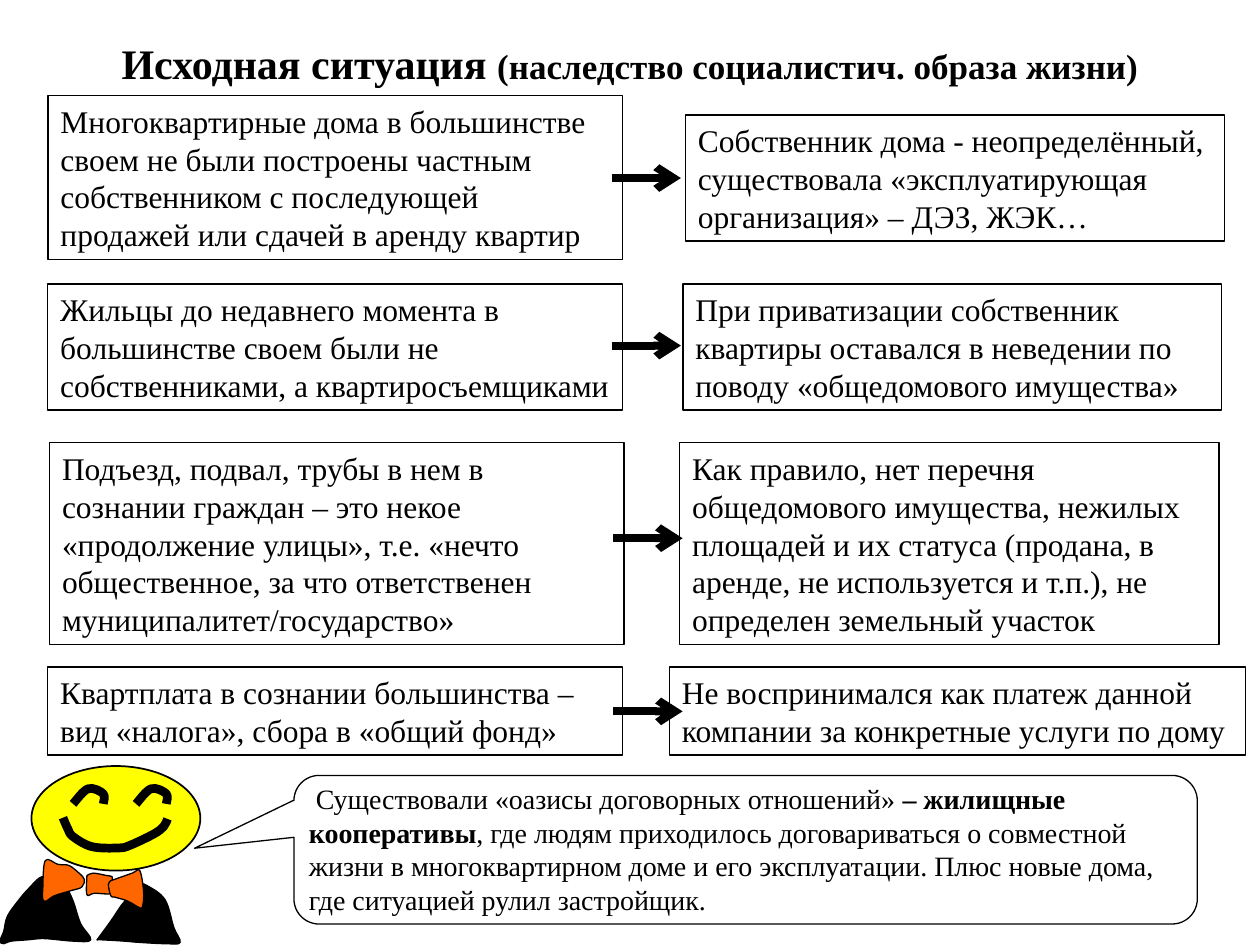
from dataclasses import dataclass

import lxml.etree
import pptx
import pptx.dml.color
import pptx.enum.shapes
import pptx.enum.text
import pptx.oxml.ns
import pptx.util

COLS, ROWS = 100, 75  # grid cells across and down the slide
BLACK, YELLOW, ORANGE = "000000", "FFFF00", "FF6600"
FONT = "Times New Roman"
SHAPE = pptx.enum.shapes.MSO_SHAPE
ALIGN = pptx.enum.text.PP_ALIGN
ANCHOR = pptx.enum.text.MSO_ANCHOR
FIT = pptx.enum.text.MSO_AUTO_SIZE
qn = pptx.oxml.ns.qn

prs = pptx.Presentation()
prs.slide_width = pptx.util.Inches(10)
prs.slide_height = pptx.util.Inches(7.5)
s = prs.slides.add_slide(prs.slide_layouts[6])


@dataclass
class Run:
    text: str
    size: float = 18
    bold: bool = False


@dataclass
class Box:
    left: float
    top: float
    width: float
    lines: int
    text: str


@dataclass
class Row:
    cause: Box
    effect: Box
    arrow_left: float
    arrow_top: float


@dataclass
class Outline:
    points: list[tuple[float, float]]
    fill: str | None = None
    line_width: float = 0.75


def x(col: float) -> int:
    return round(prs.slide_width * col / COLS)


def y(row: float) -> int:
    return round(prs.slide_height * row / ROWS)


def rgb(color: str) -> pptx.dml.color.RGBColor:
    return pptx.dml.color.RGBColor.from_string(color)


def style(sp, fill: str | None, width: float) -> None:
    sp.shadow.inherit = False
    if fill:
        sp.fill.solid()
        sp.fill.fore_color.rgb = rgb(fill)
    else:
        sp.fill.background()
    sp.line.color.rgb = rgb(BLACK)
    sp.line.width = pptx.util.Pt(width)


def write(sp, runs: list[Run], align=ALIGN.LEFT, anchor=ANCHOR.TOP, fit=FIT.SHAPE_TO_FIT_TEXT):
    tf = sp.text_frame
    tf.word_wrap = True
    tf.auto_size = fit
    tf.vertical_anchor = anchor
    p = tf.paragraphs[0]
    p.alignment = align
    for run in runs:
        r = p.add_run()
        r.text = run.text
        r.font.name = FONT
        r.font.size = pptx.util.Pt(run.size)
        r.font.bold = run.bold
        r.font.color.rgb = rgb(BLACK)
    return p


def draw_shape(kind, left: float, top: float, width: float, height: float,
               fill: str | None = None, line_width: float = 0.75):
    sp = s.shapes.add_shape(kind, x(left), y(top), x(width), y(height))
    style(sp, fill, line_width)
    return sp


def draw_box(box: Box) -> None:
    """Each text line takes three grid rows, the margins take one."""
    sp = draw_shape(SHAPE.RECTANGLE, box.left, box.top, box.width, 3 * box.lines + 1)
    write(sp, [Run(box.text)])


def draw_arrow(left: float, top: float, length: float = 5.5) -> None:
    cn = s.shapes.add_connector(pptx.enum.shapes.MSO_CONNECTOR.STRAIGHT,
                                x(left), y(top), x(left + length), y(top))
    cn.line.color.rgb = rgb(BLACK)
    cn.line.width = pptx.util.Pt(4.5)
    lxml.etree.SubElement(cn.line._get_or_add_ln(), qn("a:tailEnd"), type="arrow")
    lxml.etree.SubElement(cn._element.spPr, qn("a:effectLst"))


def round_corners(sp) -> None:
    """Turn each straight segment into a smooth Bezier curve through the same points."""
    nodes = list(sp._element.iter(qn("a:pt")))
    points = [(int(node.get("x")), int(node.get("y"))) for node in nodes]
    padded = [points[0], *points, points[-1]]
    for node, a, b, c, d in zip(nodes[1:], padded, padded[1:], padded[2:], padded[3:]):
        line = node.getparent()
        curve = lxml.etree.Element(qn("a:cubicBezTo"))
        line.getparent().replace(line, curve)
        handles = [[b[k] + (c[k] - a[k]) / 6 for k in (0, 1)],
                   [c[k] - (d[k] - b[k]) / 6 for k in (0, 1)], c]
        for px, py in handles:
            lxml.etree.SubElement(curve, qn("a:pt"), x=str(round(px)), y=str(round(py)))


def draw_outline(outline: Outline) -> None:
    """Filled outlines are closed, the others stay open strokes."""
    points = [(x(col), y(row)) for col, row in outline.points]
    builder = s.shapes.build_freeform(*points[0], scale=1.0)
    builder.add_line_segments(points[1:], close=outline.fill is not None)
    sp = builder.convert_to_shape()
    round_corners(sp)
    style(sp, outline.fill, outline.line_width)


rows = [
    Row(Box(3.82, 7.6, 45.6, 4, "Многоквартирные дома в большинстве своем не были построены "
            "частным собственником с последующей продажей или сдачей в аренду квартир"),
        Box(54.4, 9.13, 42.8, 3, "Собственник дома - неопределённый, существовала "
            "«эксплуатирующая организация» – ДЭЗ, ЖЭК…"), 48.54, 14.13),
    Row(Box(3.8, 22.54, 45.6, 3, "Жильцы до недавнего момента в большинстве своем были не "
            "собственниками, а квартиросъемщиками"),
        Box(54.2, 22.54, 42.75, 3, "При приватизации собственник квартиры оставался в неведении "
            "по поводу «общедомового имущества»"), 48.54, 27.43),
    Row(Box(3.94, 35.14, 45.6, 5, "Подъезд, подвал, трубы в нем в сознании граждан – это некое "
            "«продолжение улицы», т.е. «нечто общественное, за что ответственен "
            "муниципалитет/государство»"),
        Box(53.94, 35.14, 42.8, 5, "Как правило, нет перечня общедомового имущества, нежилых "
            "площадей и их статуса (продана, в аренде, не используется и т.п.), не определен "
            "земельный участок"), 48.68, 42.72),
    Row(Box(3.8, 52.93, 45.6, 2, "Квартплата в сознании большинства – вид «налога», сбора в "
            "«общий фонд»"),
        Box(53.14, 52.93, 45.7, 2, "Не воспринимался как платеж данной компании за конкретные "
            "услуги по дому"), 48.68, 56.46),
]

jacket = [
    Outline([(4.8, 69.3), (3.7, 69.5), (3.1, 69.7), (2.3, 70.5), (1.6, 71.3), (0.6, 72.7),
             (0.3, 73.9), (0, 74.7), (0.3, 74.9), (0.9, 74.7), (2.2, 74.6), (3.5, 74.5),
             (5.8, 74.7), (7.2, 74.6), (6.4, 73.3), (5.8, 71.5), (5.2, 70.2), (4.8, 69.3)], BLACK),
    Outline([(7.7, 74.6), (8.8, 73.1), (9.6, 71.9), (10, 71.4), (10.5, 70.5), (10.9, 70.1),
             (11.7, 70.3), (13.1, 71.4), (13.8, 73.6), (14.3, 74.8), (13.2, 74.9),
             (11.1, 74.8), (9.9, 74.7), (8.2, 74.6), (7.7, 74.6)], BLACK),
]
brow = [(5.8, 63.8), (7, 62.6), (8.2, 63), (8.2, 63.8)]
smile = [(5, 64.9), (5.4, 65.8), (5.8, 66.4), (7.3, 67.2), (9.4, 67.3), (10.3, 67.1),
         (12.2, 66.2), (13, 65.6), (13.3, 65)]
strokes = [Outline([(col + shift, row) for col, row in brow], line_width=5) for shift in (0, 5)]
strokes.append(Outline(smile, line_width=5))
bow_tie = [
    Outline([(6.9, 69.5), (6.9, 71), (7.5, 70.9), (8.9, 70.9), (8.9, 70.1), (8.9, 69.6),
             (8.5, 69.5), (7.4, 69.3), (6.9, 69.5)], ORANGE),
    Outline([(8.8, 69.9), (10.5, 69.3), (11.1, 69.1), (11.4, 70.8), (11.3, 72), (11, 72),
             (10.1, 71.5), (9.1, 71.2), (8.8, 71.1), (8.6, 70.2), (8.8, 69.9)], ORANGE),
    Outline([(6.4, 69.4), (5.5, 68.7), (4.6, 68.6), (3.6, 68.3), (3.4, 70.5), (3.4, 71.4),
             (3.7, 71.5), (4.3, 71.1), (5.6, 70.7), (6.5, 70.4), (6.7, 69.8), (6.4, 69.4)], ORANGE),
]

title = s.shapes.add_textbox(x(7.5), y(2.5), x(85), y(5))
write(title, [Run("Исходная ситуация ", 24, True),
              Run("(наследство социалистич. образа жизни)", 20, True)],
      ALIGN.CENTER, ANCHOR.MIDDLE, FIT.NONE)

for part in jacket:
    draw_outline(part)
draw_shape(SHAPE.OVAL, 2.5, 60.8, 13.4, 8.3, YELLOW, 1)
for part in strokes + bow_tie:
    draw_outline(part)

callout = draw_shape(SHAPE.ROUNDED_RECTANGULAR_CALLOUT, 23.33, 61.54, 71.7, 11.8)
for i, share in enumerate((-0.61, -0.01, 0.17)):
    callout.adjustments[i] = share

oases = s.shapes.add_textbox(x(18.53), y(61.54), x(75.6), y(11.7))
p = write(oases, [
    Run("Существовали «оазисы договорных отношений» ", 16),
    Run("– жилищные кооперативы", 16, True),
    Run(", где людям приходилось договариваться о совместной жизни в многоквартирном доме "
        "и его эксплуатации. Плюс новые дома, где ситуацией рулил застройщик.", 16)])
p._p.get_or_add_pPr().set("marL", str(x(5)))
p._p.get_or_add_pPr().set("indent", str(x(0.55)))

for row in rows:
    draw_box(row.cause)
    draw_box(row.effect)
    draw_arrow(row.arrow_left, row.arrow_top)

prs.save("out.pptx")
